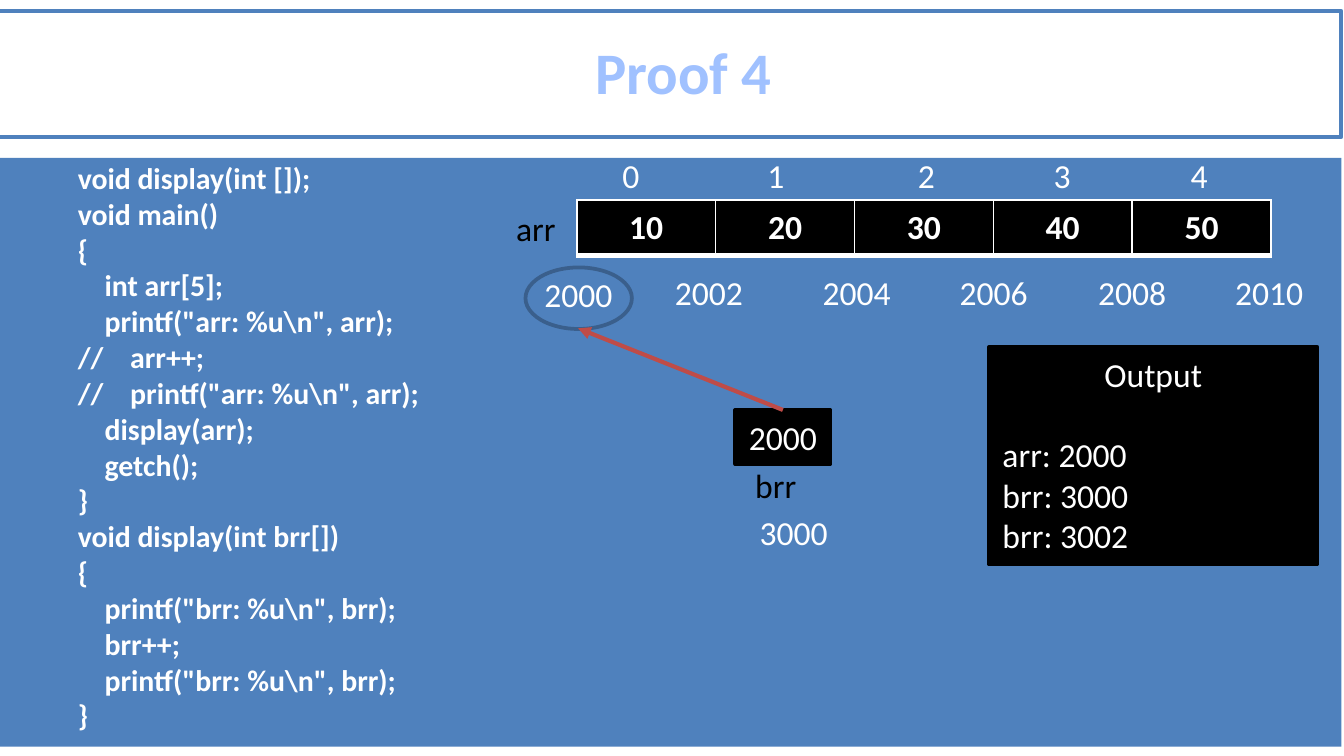
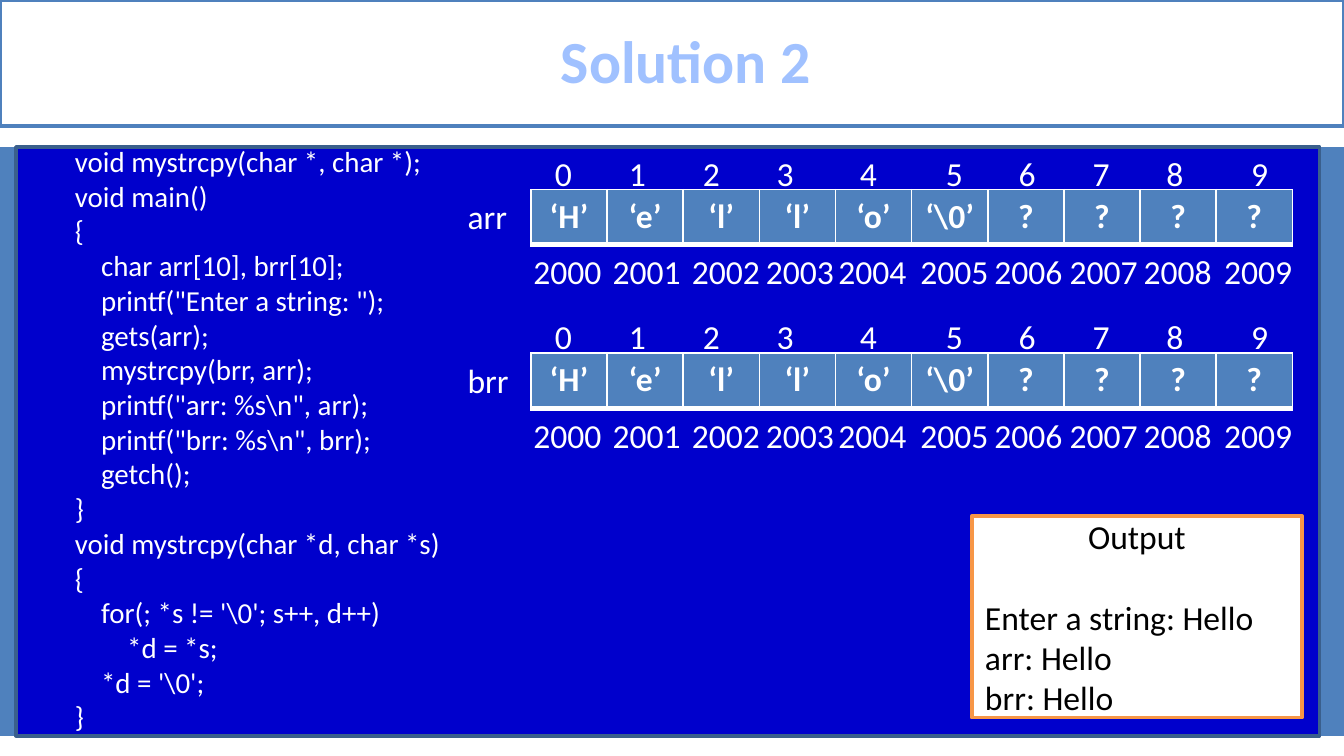
from lxml import etree
from pptx import Presentation
from pptx.dml.color import RGBColor
from pptx.enum.shapes import MSO_CONNECTOR, MSO_SHAPE
from pptx.enum.text import MSO_ANCHOR, MSO_AUTO_SIZE, PP_ALIGN
from pptx.oxml import parse_xml
from pptx.oxml.ns import nsdecls, qn
from pptx.util import Pt

FONT = "Calibri"
WHITE = RGBColor(0xFF, 0xFF, 0xFF)
BLACK = RGBColor(0, 0, 0)
BLUE = RGBColor(0x4F, 0x81, 0xBD)
NAVY = RGBColor(0, 0, 0xCC)
EDGE = RGBColor(0x3A, 0x5F, 0x8C)
RED = RGBColor(0xBF, 0x4C, 0x48)
ORANGE = RGBColor(0xF7, 0x96, 0x46)
RIM = RGBColor(0x46, 0x7A, 0xB8)
GLOW = [
    (0, RGBColor(0xBF, 0xD3, 0xF9)),
    (9, RGBColor(0xA0, 0xC1, 0xFF)),
    (50, RGBColor(0x00, 0x3D, 0x85)),
    (79, RGBColor(0xA0, 0xC1, 0xFF)),
    (100, RGBColor(0xBF, 0xD3, 0xF9)),
]

WIDE, HIGH = 720, 405
BAND_GAP = 78.8
ROW = 29.5
LABEL_H = 29
LINE_H = 21.6

PROOF_CODE = r"""void display(int []);
void main()
{
    int arr[5];
    printf("arr: %u\n", arr);
//    arr++;
//    printf("arr: %u\n", arr);
    display(arr);
    getch();
}
void display(int brr[])
{
    printf("brr: %u\n", brr);
    brr++;
    printf("brr: %u\n", brr);
}"""

COPY_CODE = r"""void mystrcpy(char *, char *);
void main()
{
    char arr[10], brr[10];
    printf("Enter a string: ");
    gets(arr);
    mystrcpy(brr, arr);
    printf("arr: %s\n", arr);
    printf("brr: %s\n", brr);
    getch();
}
void mystrcpy(char *d, char *s)
{
    for(; *s != '\0'; s++, d++)
        *d = *s;
    *d = '\0';
}"""

# Label offsets from the left edge of each array
PROOF_DIGITS = [17.3, 95, 175.7, 248.4, 321.8]
PROOF_PLACES = [45.4, 124.6, 198, 272.2, 345.6]
COPY_DIGITS = [5.8, 45.4, 85, 124.6, 169.2, 215.3, 254.2, 293.8, 333.4, 378.7]
COPY_PLACES = [-5.8, 36.7, 79.2, 118.8, 157.7, 201.6, 241.2, 281.5, 321.1, 364.3]


def points(box):
    return [Pt(n) for n in box]


def style(frame, color, size=18, bold=False, align=PP_ALIGN.LEFT):
    for par in frame.paragraphs:
        par.alignment = align
        for run in par.runs:
            run.font.name = FONT
            run.font.size = Pt(size)
            run.font.bold = bold
            run.font.color.rgb = color


def add_block(slide, kind, box, fill, line=None):
    shape = slide.shapes.add_shape(kind, *points(box))
    shape.shadow.inherit = False
    shape.fill.solid()
    shape.fill.fore_color.rgb = fill
    if line is None:
        shape.line.fill.background()
    else:
        shape.line.color.rgb = line
        shape.line.width = Pt(2)
    return shape


def add_label(slide, text, x, y, width, color=WHITE):
    label = slide.shapes.add_textbox(*points((x, y, width, LABEL_H)))
    frame = label.text_frame
    frame.word_wrap = False
    frame.auto_size = MSO_AUTO_SIZE.SHAPE_TO_FIT_TEXT
    frame.text = text
    style(frame, color)


def add_row(slide, texts, spots, x, y, width):
    for text, spot in zip(texts, spots):
        add_label(slide, str(text), x + spot, y, width)


def shade(run):
    """Give a run the gradient fill and thin outline of the titles."""
    stops = "".join(
        f'<a:gs pos="{at * 1000}"><a:srgbClr val="{tone}"/></a:gs>' for at, tone in GLOW
    )
    space = nsdecls("a")
    props = run.font._element
    props.insert(0, parse_xml(
        f'<a:ln {space} w="{Pt(0.83)}"><a:solidFill><a:srgbClr val="{RIM}"/>'
        "</a:solidFill></a:ln>"))
    props.insert(1, parse_xml(
        f"<a:gradFill {space}><a:gsLst>{stops}</a:gsLst>"
        '<a:lin ang="5400000" scaled="0"/></a:gradFill>'))


def start_slide(deck, text, size, x, y):
    """Add a slide with its title bar at x, y and the blue band below."""
    slide = deck.slides.add_slide(deck.slide_layouts[5])
    add_block(slide, MSO_SHAPE.RECTANGLE, (x, y + BAND_GAP, WIDE, 315.4), BLUE)
    title = slide.shapes.title
    title.left, title.top, title.width, title.height = points((x, y, WIDE, 67.7))
    title.fill.solid()
    title.fill.fore_color.rgb = WHITE
    title.line.color.rgb = BLUE
    title.line.width = Pt(2)
    frame = title.text_frame
    frame.text = text
    frame.auto_size = MSO_AUTO_SIZE.NONE
    frame.vertical_anchor = MSO_ANCHOR.MIDDLE
    par = frame.paragraphs[0]
    par.alignment = PP_ALIGN.CENTER
    par.line_spacing = 0.96
    par._p.get_or_add_pPr().set("marL", str(Pt(15)))
    run = par.runs[0]
    run.font.name = FONT
    run.font.size = Pt(size)
    run.font.bold = True
    shade(run)
    return slide


def add_code(slide, code, box, size, bold, left, hang):
    frame = slide.shapes.add_textbox(*points(box)).text_frame
    frame.word_wrap = True
    frame.text = code
    style(frame, WHITE, size, bold)
    for par in frame.paragraphs:
        par.level = 1
        props = par._p.get_or_add_pPr()
        props.set("marL", str(Pt(left)))
        props.set("indent", str(Pt(hang)))


def add_edges(cell):
    props = cell._tc.get_or_add_tcPr()
    for side, width in (("L", 1), ("R", 1), ("T", 1), ("B", 3)):
        props.append(parse_xml(
            f'<a:ln{side} {nsdecls("a")} w="{Pt(width)}"><a:solidFill>'
            f'<a:srgbClr val="{WHITE}"/></a:solidFill></a:ln{side}>'))


def add_array(slide, values, x, y, step, fill):
    count = len(values)
    table = slide.shapes.add_table(1, count, *points((x, y, step * count, ROW))).table
    for column, cell, value in zip(table.columns, table.rows[0].cells, values):
        column.width = Pt(step)
        cell.text = value
        style(cell.text_frame, WHITE, bold=True, align=PP_ALIGN.CENTER)
        add_edges(cell)
        cell.fill.solid()
        cell.fill.fore_color.rgb = fill


def add_output(slide, lines, box, fill, line, color, anchor):
    frame = add_block(slide, MSO_SHAPE.RECTANGLE, box, fill, line).text_frame
    frame.word_wrap = True
    frame.vertical_anchor = anchor
    frame.text = "\n".join(["Output", *lines])
    style(frame, color)
    head = frame.paragraphs[0]
    head.alignment = PP_ALIGN.CENTER
    head.space_after = Pt(LINE_H)


def add_pointer(slide, x, y):
    """Draw brr, with its arrow to the ringed address at x, y."""
    add_block(slide, MSO_SHAPE.OVAL, (x, y, 57, 33), BLUE, EDGE)
    add_label(slide, "2000", x + 3, y, 51)
    cell = add_block(slide, MSO_SHAPE.RECTANGLE, (x + 112.4, y + 76.3, 51, LABEL_H), BLACK, BLACK)
    cell.text_frame.text = "2000"
    style(cell.text_frame, WHITE, align=PP_ALIGN.CENTER)
    add_label(slide, "brr", x + 116, y + 102.2, 36.5, BLACK)
    add_label(slide, "3000", x + 118.3, y + 127.4, 51)
    arrow = slide.shapes.add_connector(
        MSO_CONNECTOR.STRAIGHT, *points((x + 138, y + 76.3, x + 28.2, y + 32.6)))
    arrow.begin_connect(cell, 0)
    arrow.line.color.rgb = RED
    arrow.line.width = Pt(2.25)
    line = arrow.line._get_or_add_ln()
    etree.SubElement(line, qn("a:tailEnd"), type="triangle")
    etree.SubElement(arrow._element.spPr, qn("a:effectLst"))


def build_proof(deck):
    slide = start_slide(deck, "Proof 4", 31.5, -1.4, 5.8)
    add_code(slide, PROOF_CODE, (-1.4, 82, WIDE, 317.5), 16, True, 36, 0)
    x, y = 309, 107.3
    add_array(slide, ["10", "20", "30", "40", "50"], x, y, 74.4, BLACK)
    add_label(slide, "arr", x - 39.6, y + 0.7, 36, BLACK)
    add_row(slide, range(5), PROOF_DIGITS, x, y - 28.1, 24)
    add_row(slide, range(2002, 2011, 2), PROOF_PLACES, x, y + 34.6, 51)
    add_pointer(slide, 281.5, 143.3)
    add_output(slide, ["arr: 2000", "brr: 3000", "brr: 3002"], (530, 185.8, 175.7, 116.6),
               BLACK, BLACK, WHITE, MSO_ANCHOR.TOP)


def build_copy(deck):
    slide = start_slide(deck, "Solution 2", 32, 0, 0)
    add_block(slide, MSO_SHAPE.RECTANGLE, (8.6, BAND_GAP, 698.4, 315.4), NAVY, EDGE)
    add_code(slide, COPY_CODE, (-2.9, 73.4, 348.5, 327), 15.5, False, 63.4, -27.4)
    values = ["‘H’", "‘e’", "‘l’", "‘l’", "‘o’", r"‘\0’"] + ["?"] * 4
    x = 284.4
    for name, y in (("arr", 101.6), ("brr", 189.2)):
        add_array(slide, values, x, y, 40.8, BLUE)
        add_label(slide, name, x - 41, y, 36.5)
        add_row(slide, range(10), COPY_DIGITS, x, y - 23.3, 24)
        add_row(slide, range(2000, 2010), COPY_PLACES, x, y + 29.3, 51)
    add_output(slide, ["Enter a string: Hello", "arr: Hello", "brr: Hello"],
               (520.6, 276.5, 177, 108), WHITE, ORANGE, BLACK, MSO_ANCHOR.MIDDLE)


def main():
    deck = Presentation()
    deck.slide_width, deck.slide_height = Pt(WIDE), Pt(HIGH)
    build_proof(deck)
    build_copy(deck)
    deck.save("out.pptx")


if __name__ == "__main__":
    main()
